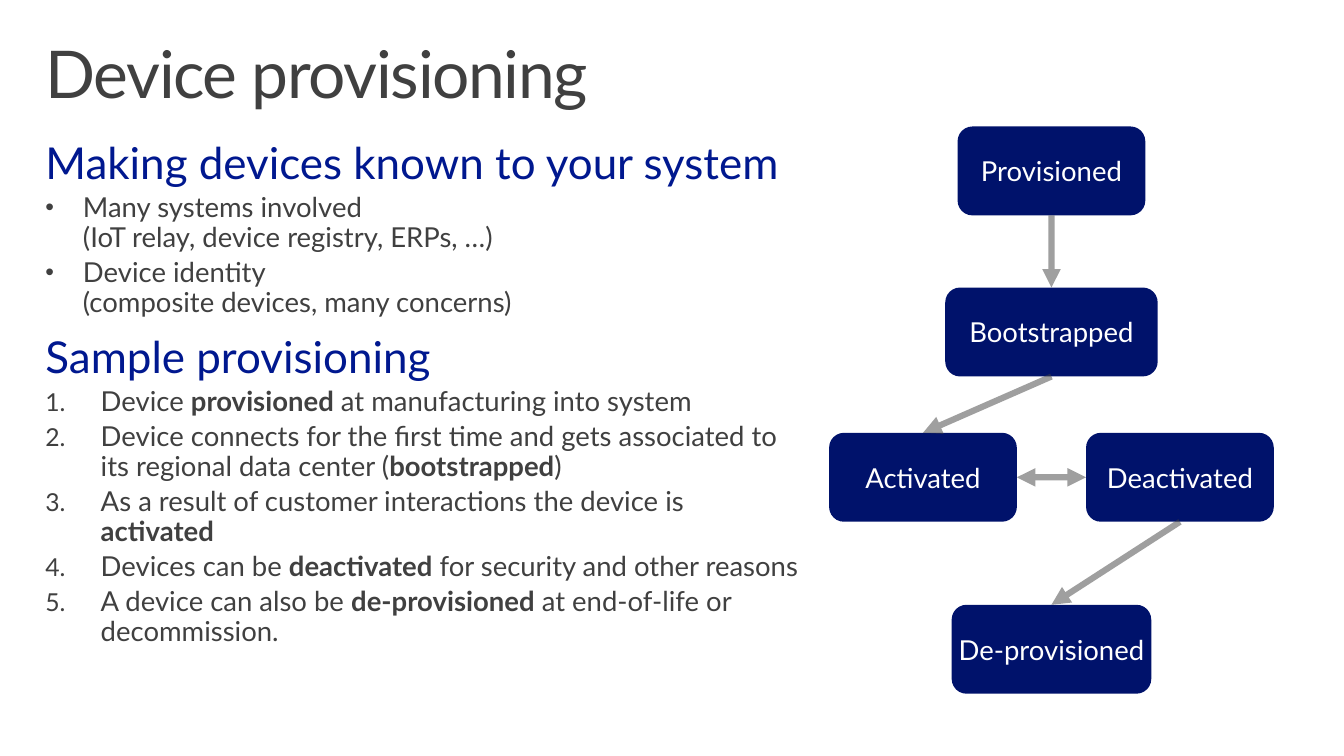
"""Builds the device provisioning slide with its life cycle diagram."""
from dataclasses import dataclass

from lxml.etree import SubElement
from pptx import Presentation
from pptx.dml.color import RGBColor
from pptx.enum.shapes import MSO_CONNECTOR, MSO_SHAPE
from pptx.enum.text import MSO_ANCHOR, MSO_AUTO_SIZE, PP_ALIGN
from pptx.oxml.ns import qn
from pptx.slide import Slide
from pptx.util import Inches, Pt

TOP, LEFT, BOTTOM, RIGHT = range(4)


def color(hex_string):
    return RGBColor.from_string(hex_string)


@dataclass
class Deck:
    slide: Slide
    font: str = "Lato"
    ink: str = "404040"
    heading_blue: str = "00188F"
    state_blue: str = "00126B"
    white: str = "FFFFFF"

    def format_run(self, run, size, hex_string):
        run.font.name = self.font
        run.font.size = Pt(size)
        run.font.color.rgb = color(hex_string)

    def set_margins(self, frame, side, vertical):
        frame.margin_left = frame.margin_right = Inches(side)
        frame.margin_top = frame.margin_bottom = Inches(vertical)

    def title(self, text, left, top, width, height):
        title = self.slide.shapes.title
        title.left, title.top = Inches(left), Inches(top)
        title.width, title.height = Inches(width), Inches(height)
        frame = title.text_frame
        frame.text = text
        frame.vertical_anchor = MSO_ANCHOR.TOP
        frame.auto_size = MSO_AUTO_SIZE.NONE
        self.set_margins(frame, 0.16, 0.1)
        line = frame.paragraphs[0]
        line.alignment = PP_ALIGN.LEFT
        line.line_spacing = 0.9
        self.format_run(line.runs[0], 48, self.ink)
        line.runs[0].font._element.set("spc", "-100")

    def body(self, sections, left, top, width, height):
        box = self.slide.shapes.add_textbox(
            Inches(left), Inches(top), Inches(width), Inches(height))
        frame = box.text_frame
        frame.word_wrap = True
        self.set_margins(frame, 0.16, 0.1)
        paragraph = frame.paragraphs[0]
        for heading, items, numbered in sections:
            if paragraph.text:
                paragraph = frame.add_paragraph()
            self.fill_paragraph(paragraph, heading, 32, self.heading_blue, 12.2)
            for item in items:
                paragraph = frame.add_paragraph()
                self.fill_paragraph(paragraph, item, 20, self.ink, 4)
                self.add_marker(paragraph, numbered)

    def fill_paragraph(self, paragraph, text, size, hex_string, space_before):
        first, *others = text.split("*")
        paragraph.text = first
        for index, piece in enumerate(others):
            run = paragraph.add_run()
            run.text = piece
            run.font.bold = index % 2 == 0
        paragraph.line_spacing = 0.9
        paragraph.space_before = Pt(space_before)
        for run in paragraph.runs:
            self.format_run(run, size, hex_string)

    def add_marker(self, paragraph, numbered):
        indent = Inches(0.56 if numbered else 0.38)
        properties = paragraph._p.get_or_add_pPr()
        properties.set("marL", str(indent))
        properties.set("indent", str(-indent))
        SubElement(properties, qn("a:buSzPct"), val="90000")
        if numbered:
            SubElement(properties, qn("a:buFont"), typeface=self.font)
            SubElement(properties, qn("a:buAutoNum"), type="arabicPeriod")
        else:
            SubElement(properties, qn("a:buFont"), typeface="Arial")
            SubElement(properties, qn("a:buChar"), char="•")

    def state(self, name, center, top, width=1.9):
        box = self.slide.shapes.add_shape(
            MSO_SHAPE.ROUNDED_RECTANGLE, Inches(center - width / 2),
            Inches(top), Inches(width), Inches(0.9))
        box.shadow.inherit = False
        box.fill.solid()
        box.fill.fore_color.rgb = color(self.state_blue)
        box.line.fill.background()
        frame = box.text_frame
        frame.text = name
        frame.word_wrap = True
        frame.vertical_anchor = MSO_ANCHOR.MIDDLE
        self.set_margins(frame, 0, 0.05)
        frame.paragraphs[0].alignment = PP_ALIGN.CENTER
        self.format_run(frame.paragraphs[0].runs[0], 20, self.white)
        return box

    def transition(self, start, start_side, end, end_side, both_ways=False):
        arrow = self.slide.shapes.add_connector(
            MSO_CONNECTOR.STRAIGHT, start.left, start.top, end.left, end.top)
        arrow.begin_connect(start, start_side)
        arrow.end_connect(end, end_side)
        arrow.line.width = Pt(4.5)
        arrow.line.color.rgb = color(self.ink)
        line = arrow.line._get_or_add_ln()
        SubElement(line.find(".//" + qn("a:srgbClr")), qn("a:alpha"), val="50000")
        if both_ways:
            SubElement(line, qn("a:headEnd"), type="triangle")
        SubElement(line, qn("a:tailEnd"), type="triangle")
        SubElement(arrow._element.spPr, qn("a:effectLst"))


SECTIONS = [
    ("Making devices known to your system", [
        "Many systems involved\n(IoT relay, device registry, ERPs, …)",
        "Device identity\n(composite devices, many concerns)",
    ], False),
    ("Sample provisioning", [
        "Device *provisioned* at manufacturing into system",
        "Device connects for the first time and gets associated to its "
        "regional data center (*bootstrapped*)",
        "As a result of customer interactions the device is *activated",
        "Devices can be *deactivated* for security and other reasons",
        "A device can also be *de-provisioned* at end-of-life or decommission.",
    ], True),
]

presentation = Presentation()
presentation.slide_width = Inches(13.6)
presentation.slide_height = Inches(7.65)
deck = Deck(presentation.slides.add_slide(presentation.slide_layouts[5]))

deck.title("Device provisioning", 0.3, 0.32, 13, 1)
deck.body(SECTIONS, 0.3, 1.33, 7.96, 5.75)

axis = 10.64
branch = 1.3
provisioned = deck.state("Provisioned", axis, 1.28)
bootstrapped = deck.state("Bootstrapped", axis, 2.91, 2.15)
activated = deck.state("Activated", axis - branch, 4.38)
deactivated = deck.state("Deactivated", axis + branch, 4.38)
deprovisioned = deck.state("De-provisioned", axis, 6.12, 2.02)

deck.transition(provisioned, BOTTOM, bootstrapped, TOP)
deck.transition(bootstrapped, BOTTOM, activated, TOP)
deck.transition(activated, RIGHT, deactivated, LEFT, both_ways=True)
deck.transition(deactivated, BOTTOM, deprovisioned, TOP)

presentation.save("out.pptx")
